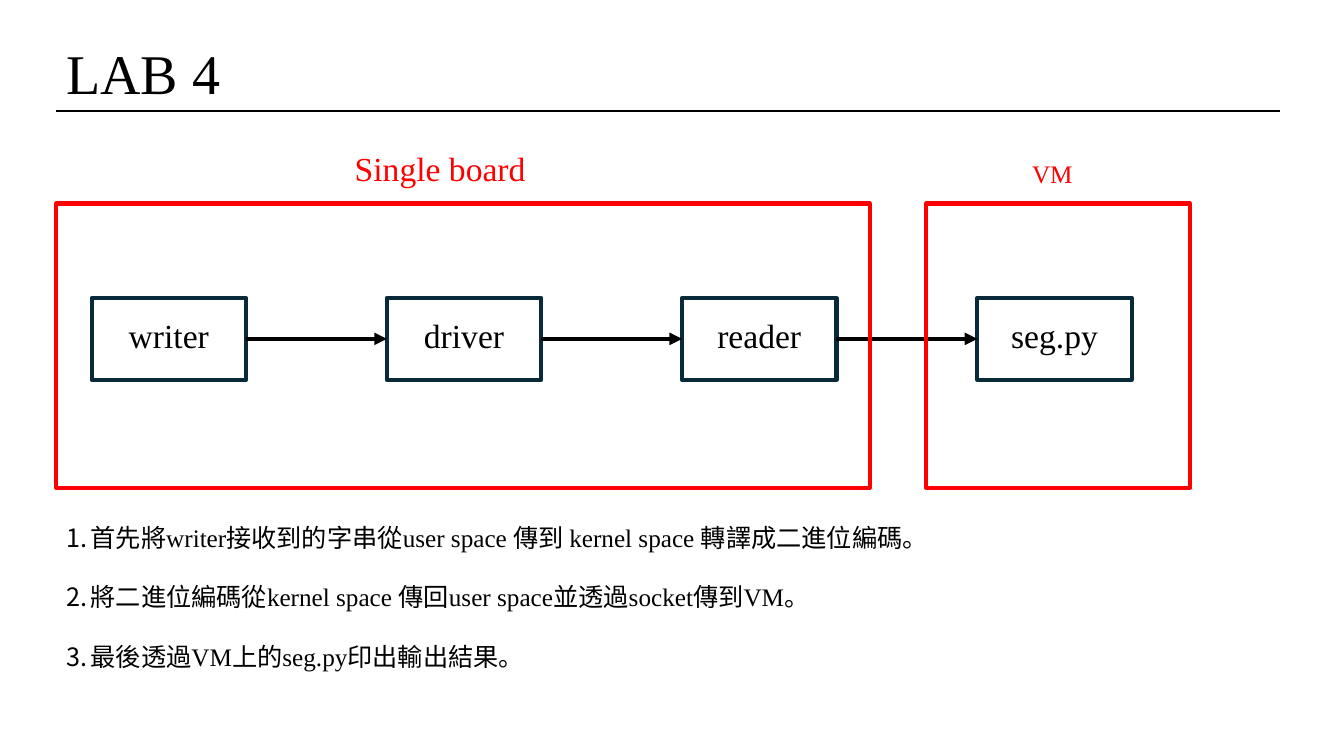
from itertools import pairwise

from lxml.etree import SubElement
from pptx import Presentation
from pptx.dml.color import RGBColor
from pptx.enum.shapes import MSO_CONNECTOR, MSO_SHAPE
from pptx.enum.text import MSO_ANCHOR, MSO_AUTO_SIZE, PP_ALIGN
from pptx.oxml.ns import qn
from pptx.util import Cm, Pt

BLACK = RGBColor(0x00, 0x00, 0x00)
NAVY = RGBColor(0x09, 0x2A, 0x39)
RED = RGBColor(0xFF, 0x00, 0x00)

MARGIN = 1.42
NODE_LEFT, NODE_TOP, NODE_PITCH = 2.31, 7.51, 7.44
NODE_SIZE = (3.89, 2.06)
ZONE_TOP, ZONE_HEIGHT = 5.13, 7.16
LEFT_SITE, RIGHT_SITE = 1, 3

NODES = ["writer", "driver", "reader", "seg.py"]
STEPS = [
    "首先將writer接收到的字串從user space 傳到 kernel space 轉譯成二進位編碼。",
    "將二進位編碼從kernel space 傳回user space並透過socket傳到VM。",
    "最後透過VM上的seg.py印出輸出結果。",
]


class SlideBuilder:
    font = "Times New Roman"
    thick = Pt(3)

    def __init__(self, slide):
        self.slide = slide
        self.shapes = slide.shapes

    def add_text(self, para, text, size, color=BLACK, align=PP_ALIGN.LEFT):
        para.alignment = align
        para.line_spacing = 1.0
        para.space_before = Pt(0)
        span = para.add_run()
        span.text = text
        span.font.name = self.font
        span.font.size = Pt(size)
        span.font.color.rgb = color

    def place(self, holder, left, top, width, height):
        """Move a placeholder and let its text start at the top."""
        holder.left, holder.top = Cm(left), Cm(top)
        holder.width, holder.height = Cm(width), Cm(height)
        frame = holder.text_frame
        frame.auto_size = MSO_AUTO_SIZE.NONE
        frame.vertical_anchor = MSO_ANCHOR.TOP
        frame.word_wrap = True
        return frame

    def title(self, text, *area):
        frame = self.place(self.shapes.title, *area)
        self.add_text(frame.paragraphs[0], text, 40)

    def numbered_list(self, items, *area):
        frame = self.place(self.slide.placeholders[1], *area)
        for index, item in enumerate(items):
            para = frame.add_paragraph() if index else frame.paragraphs[0]
            self.add_text(para, item, 18)
            para.space_after = Pt(21)
            properties = para._p.get_or_add_pPr()
            properties.set("marL", str(Cm(0.61)))
            properties.set("indent", str(-Cm(0.61)))
            SubElement(properties, qn("a:buFont"), typeface=self.font)
            SubElement(properties, qn("a:buAutoNum"), type="arabicPeriod")

    def label(self, text, size, color, *area):
        box = self.shapes.add_textbox(*map(Cm, area))
        box.text_frame.word_wrap = True
        self.add_text(box.text_frame.paragraphs[0], text, size, color)

    def outline(self, color, *area):
        """Add an unfilled rectangle with a thick border."""
        box = self.shapes.add_shape(MSO_SHAPE.RECTANGLE, *map(Cm, area))
        box.shadow.inherit = False
        box.fill.background()
        box.line.color.rgb = color
        box.line.width = self.thick
        return box

    def node(self, text, *area):
        box = self.outline(NAVY, *area)
        box.text_frame.vertical_anchor = MSO_ANCHOR.MIDDLE
        box.text_frame.margin_top = 0
        box.text_frame.margin_bottom = Cm(0.2)
        self.add_text(box.text_frame.paragraphs[0], text, 24, align=PP_ALIGN.CENTER)
        return box

    def line(self, left, top, right, bottom, width):
        connector = self.shapes.add_connector(
            MSO_CONNECTOR.STRAIGHT, *map(Cm, (left, top, right, bottom)))
        connector.line.color.rgb = BLACK
        connector.line.width = width
        SubElement(connector._element.spPr, qn("a:effectLst"))
        return connector

    def arrow(self, source, target):
        connector = self.line(0, 0, 0, 0, self.thick)
        connector.begin_connect(source, RIGHT_SITE)
        connector.end_connect(target, LEFT_SITE)
        stroke = connector._element.spPr.find(qn("a:ln"))
        SubElement(stroke, qn("a:tailEnd"), type="triangle")


def main():
    deck = Presentation()
    deck.slide_width, deck.slide_height = Cm(33.87), Cm(19.05)
    page = SlideBuilder(deck.slides.add_slide(deck.slide_layouts[1]))

    page.title("LAB 4", MARGIN, 0.84, 10.08, 1.96)
    page.line(MARGIN, 2.79, 32.26, 2.79, Pt(1.5))

    nodes = [page.node(name, NODE_LEFT + index * NODE_PITCH, NODE_TOP, *NODE_SIZE)
             for index, name in enumerate(NODES)]
    for source, target in pairwise(nodes):
        page.arrow(source, target)

    for left, width in ((MARGIN, 20.5), (23.34, 6.65)):
        page.outline(RED, left, ZONE_TOP, width, ZONE_HEIGHT)
    page.label("Single board", 24, RED, 8.69, 3.61, 6.05, 1.27)
    page.label("VM", 18, RED, 25.76, 3.86, 3.07, 1.02)

    page.numbered_list(STEPS, MARGIN, 13.03, 28.6, 4.11)
    deck.save("out.pptx")


if __name__ == "__main__":
    main()
